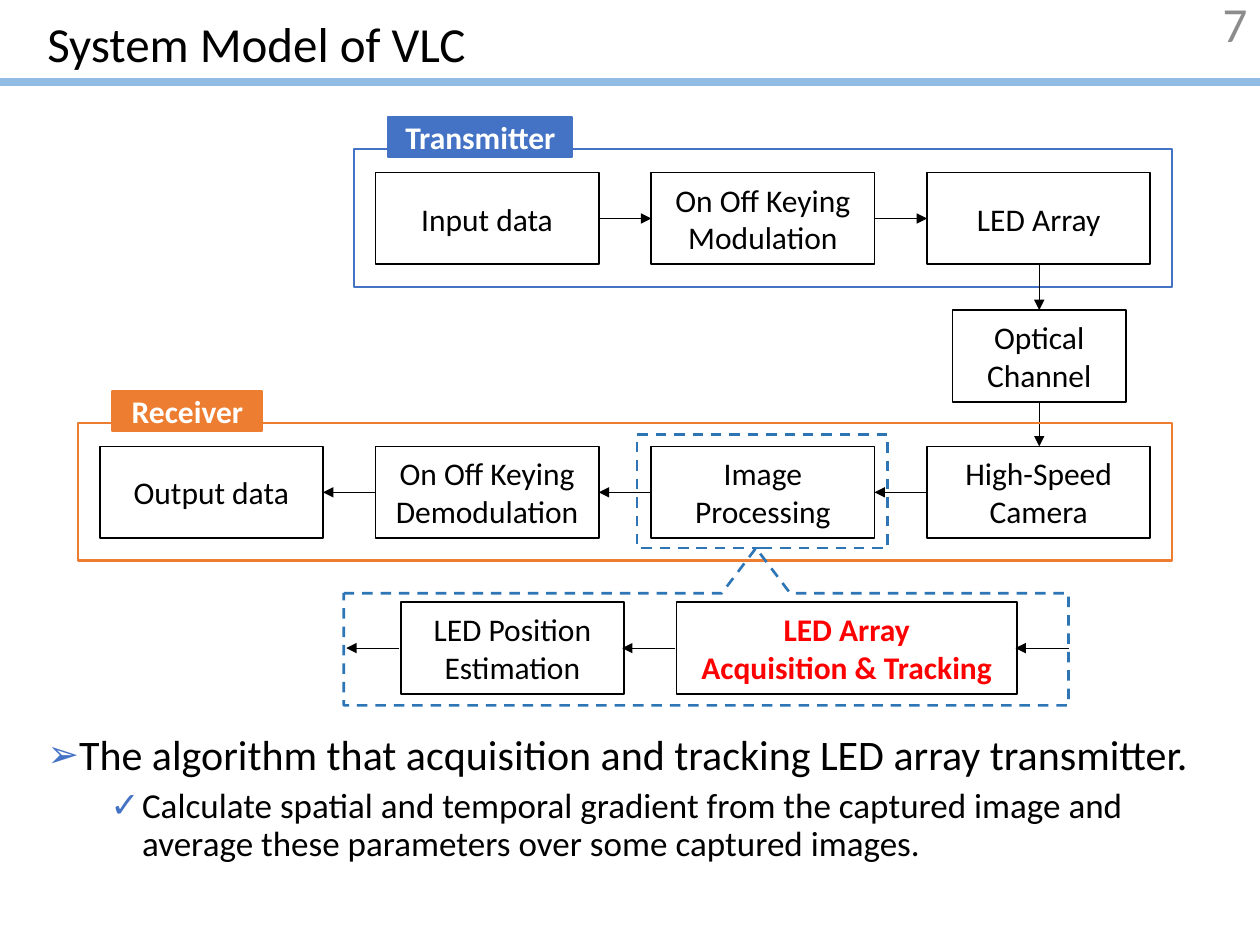
from dataclasses import dataclass

from lxml.etree import SubElement
from pptx import Presentation
from pptx.dml.color import RGBColor as Rgb
from pptx.enum.dml import MSO_LINE
from pptx.enum.shapes import MSO_CONNECTOR, MSO_SHAPE
from pptx.enum.text import MSO_ANCHOR, MSO_AUTO_SIZE, PP_ALIGN
from pptx.oxml.ns import qn
from pptx.util import Cm, Pt


@dataclass(frozen=True)
class Theme:
    """Colours, type sizes and line widths of the slide."""
    font: str = "Calibri"
    ink: str = "000000"
    white: str = "FFFFFF"
    grey: str = "8C8C8C"
    band: str = "91BCE3"
    blue: str = "4472C4"
    orange: str = "ED7D31"
    detail: str = "2E75B6"
    alert: str = "FF0000"
    heading: int = 28
    point: int = 24
    subpoint: int = 20
    label: int = 18
    rule: float = 4.5
    dashed: float = 1.5
    frame: float = 1.25
    outline: float = 1
    arrow: float = 0.5


THEME = Theme()
BLOCK_W, BLOCK_H, PITCH = 4.5, 1.85, 5.56
INSET_X, INSET_Y, FRAME_H = 0.44, 0.47, 2.77


def assign(target, **values):
    """Set each named attribute on the target."""
    for name, value in values.items():
        setattr(target, name, value)


def style_line(line, color, width, dash=None):
    """Give a line its colour, width and dash."""
    line.color.rgb = Rgb.from_string(color)
    assign(line, width=Pt(width), dash_style=dash)


def style_text(paragraph, size, color, bold=False, **layout):
    """Format one paragraph and its font."""
    assign(paragraph, **layout)
    assign(paragraph.font, name=THEME.font, size=Pt(size), bold=bold)
    paragraph.font.color.rgb = Rgb.from_string(color)


def style_outline(shape, color, width, fill=None, dash=None):
    """Give a shape its outline and optional fill, without shadow."""
    shape.shadow.inherit = False
    if fill:
        shape.fill.solid()
        shape.fill.fore_color.rgb = Rgb.from_string(fill)
    else:
        shape.fill.background()
    style_line(shape.line, color, width, dash)


def add_box(slide, box, color, width, text="", ink=THEME.ink, bold=False, **look):
    """Draw a rectangle with centred lines of text."""
    shape = slide.shapes.add_shape(MSO_SHAPE.RECTANGLE, *map(Cm, box))
    style_outline(shape, color, width, **look)
    if text:
        frame = shape.text_frame
        assign(frame, text=text, vertical_anchor=MSO_ANCHOR.MIDDLE)
        for paragraph in frame.paragraphs:
            style_text(paragraph, THEME.label, ink, bold, alignment=PP_ALIGN.CENTER)


def add_block(slide, left, top, text, width=BLOCK_W, **look):
    """Draw one processing step of the diagram."""
    add_box(slide, (left, top, width, BLOCK_H), THEME.ink, THEME.outline, text, **look)


def add_rule(slide, start, end, color, width):
    """Draw a straight line without shadow."""
    rule = slide.shapes.add_connector(MSO_CONNECTOR.STRAIGHT, *map(Cm, start + end))
    style_line(rule.line, color, width)
    SubElement(rule._element.spPr, qn("a:effectLst"))
    return rule


def add_arrow(slide, start, end):
    """Draw a thin arrow pointing at its end."""
    arrow = add_rule(slide, start, end, THEME.ink, THEME.arrow)
    SubElement(arrow.line._get_or_add_ln(), qn("a:tailEnd"), type="triangle")


def add_header(slide, box, title, number):
    """Place the title, the page number and the band beneath them."""
    left, top, width, height = box
    add_rule(slide, (left, top + 1.65), (left + width, top + 1.65), THEME.band, THEME.rule)
    heading = slide.shapes.title
    assign(heading, left=Cm(left + 0.7), top=Cm(top), width=Cm(23.95), height=Cm(height))
    page = slide.shapes.add_textbox(*map(Cm, (left + width - 5.72, top + 0.03, 5.72, 1.02)))
    for shape, text, color, align in (
        (heading, title, THEME.ink, PP_ALIGN.LEFT),
        (page, number, THEME.grey, PP_ALIGN.RIGHT),
    ):
        assign(shape.text_frame, text=text, word_wrap=True,
               auto_size=MSO_AUTO_SIZE.NONE, vertical_anchor=MSO_ANCHOR.MIDDLE)
        style_text(shape.text_frame.paragraphs[0], THEME.heading, color,
                   alignment=align, line_spacing=0.9)


def add_chain(slide, left, top, name, tag_width, color, steps, step_dir):
    """Draw a framed, tagged row of steps joined in the given direction."""
    width = PITCH * (len(steps) - 1) + BLOCK_W + 2 * INSET_X
    row = top + INSET_Y
    middle = row + BLOCK_H / 2
    for index, step in enumerate(steps):
        x = left + INSET_X + index * PITCH
        add_block(slide, x, row, step)
        if index:
            ends = [(x - PITCH + BLOCK_W, middle), (x, middle)]
            add_arrow(slide, *ends[::step_dir])
    add_box(slide, (left, top, width, FRAME_H), color, THEME.frame)
    add_box(slide, (left + 0.7, top - 0.65, tag_width, 0.81), color, THEME.frame,
            name, THEME.white, True, fill=color)


def add_channel(slide, left, top):
    """Draw the optical channel with the arrows into and out of it."""
    width, gap = 3.5, 0.9
    center, bottom = left + width / 2, top + BLOCK_H
    add_box(slide, (left, top, width, BLOCK_H), THEME.ink, THEME.outline, "Optical\nChannel")
    add_arrow(slide, (center, top - gap), (center, top))
    add_arrow(slide, (center, bottom), (center, bottom + gap))


def add_detail(slide, box):
    """Draw the dashed callout that opens up the image processing step."""
    left, top, width, height = box
    right, bottom, shoulder = left + width, top + height, top + 0.91
    apex, row = left + 8.31, top + 1.09
    middle = row + BLOCK_H / 2
    add_box(slide, (apex - 2.4, top - 2.29, 5.05, 2.29), THEME.detail, THEME.dashed,
            dash=MSO_LINE.DASH)
    outline = [(left, shoulder), (apex - 0.69, shoulder), (apex, top),
               (apex + 0.69, shoulder), (right, shoulder), (right, bottom), (left, bottom)]
    points = [(Cm(x), Cm(y)) for x, y in outline]
    builder = slide.shapes.build_freeform(*points[0])
    builder.add_line_segments(points[1:], close=True)
    style_outline(builder.convert_to_shape(), THEME.detail, THEME.dashed, dash=MSO_LINE.DASH)
    add_block(slide, left + 1.15, row, "LED Position\nEstimation")
    add_block(slide, left + 6.71, row, "LED Array\nAcquisition & Tracking", 6.86,
              ink=THEME.alert, bold=True)
    for start in (1.12, 6.68, width):
        add_arrow(slide, (left + start, middle), (left + start - 1.07, middle))


def add_points(slide, box, points):
    """Fill the body placeholder with bulleted points."""
    body = slide.placeholders[1]
    assign(body, **dict(zip(("left", "top", "width", "height"), map(Cm, box))))
    frame = body.text_frame
    assign(frame, text="\n".join(text for text, *_ in points), auto_size=MSO_AUTO_SIZE.NONE)
    for paragraph, (_, level, mark, scale, size, before) in zip(frame.paragraphs, points):
        props = paragraph._p.get_or_add_pPr()
        props.set("marL", str(Cm(0.64 + 1.27 * level)))
        props.set("indent", str(Cm(-0.64)))
        SubElement(SubElement(props, qn("a:buClr")), qn("a:srgbClr"), val=THEME.blue)
        SubElement(props, qn("a:buSzPct"), val=str(scale * 1000))
        SubElement(props, qn("a:buChar"), char=mark)
        style_text(paragraph, size, THEME.ink, level=level, line_spacing=0.9,
                   space_before=Pt(before), alignment=PP_ALIGN.LEFT)


def main():
    """Build the slide and save it."""
    deck = Presentation()
    assign(deck, slide_width=Cm(25.4), slide_height=Cm(19.05))
    slide = deck.slides.add_slide(deck.slide_layouts[1])
    add_header(slide, (0, 0, 25.4, 1.88), "System Model of VLC", "7")
    add_chain(slide, 7.13, 3.01, "Transmitter", 3.71, THEME.blue,
              ["Input data", "On Off Keying\nModulation", "LED Array"], 1)
    add_channel(slide, 19.2, 6.25)
    add_chain(slide, 1.57, 8.53, "Receiver", 3.02, THEME.orange,
              ["Output data", "On Off Keying\nDemodulation", "Image Processing",
               "High-Speed Camera"], -1)
    add_detail(slide, (6.93, 11.05, 14.61, 3.17))
    add_points(slide, (0.7, 14.68, 23.95, 3.73), [
        ("The algorithm that acquisition and tracking LED array transmitter.",
         0, "➢", 90, THEME.point, 0),
        ("Calculate spatial and temporal gradient from the captured image and "
         "average these parameters over some captured images.",
         1, "✓", 100, THEME.subpoint, 5),
    ])
    deck.save("out.pptx")


if __name__ == "__main__":
    main()
